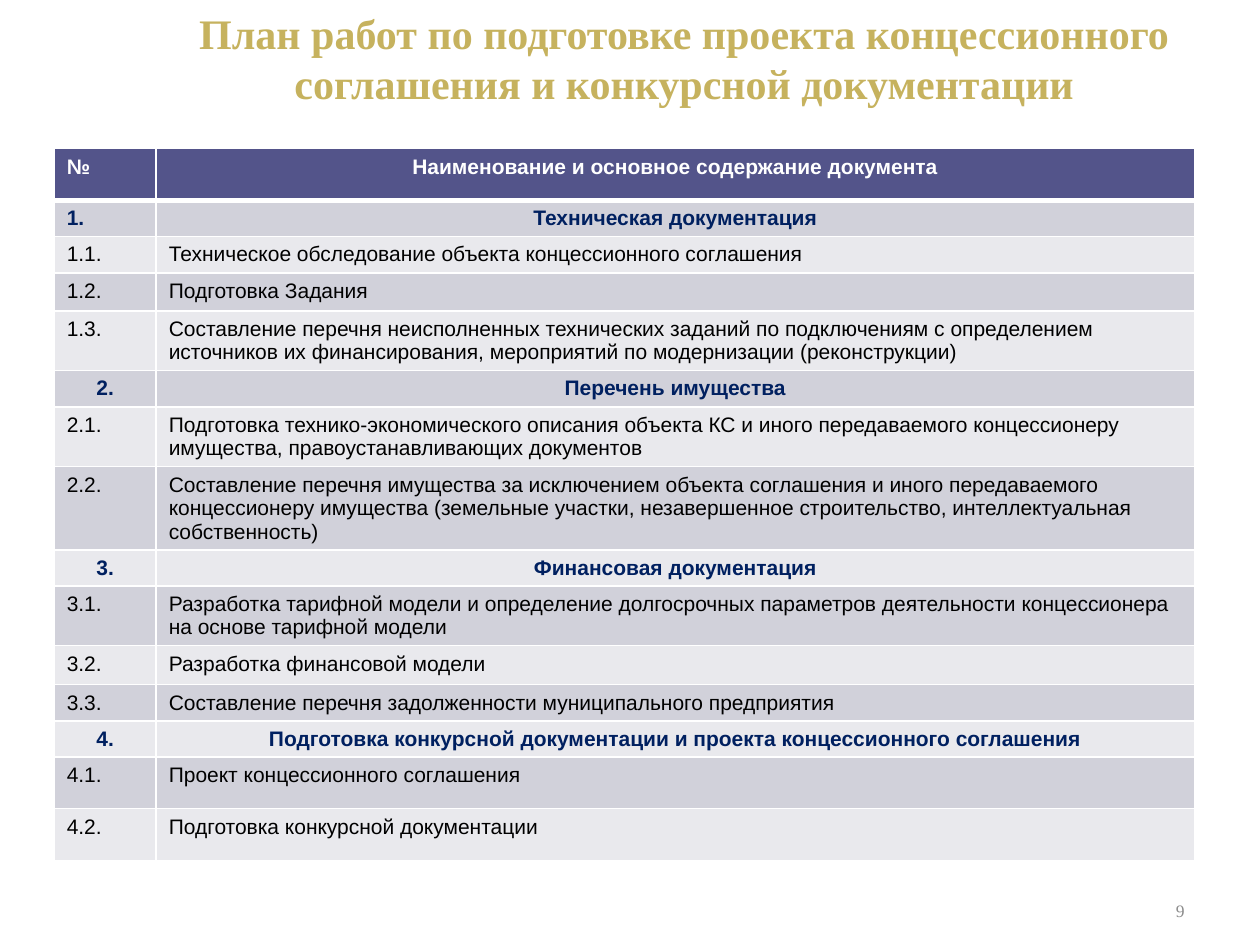
from dataclasses import dataclass

from lxml import etree
from pptx import Presentation
from pptx.dml.color import RGBColor
from pptx.enum.text import MSO_ANCHOR, PP_ALIGN
from pptx.oxml.ns import qn
from pptx.util import Inches, Pt

LEFT, MID, RIGHT = PP_ALIGN.LEFT, PP_ALIGN.CENTER, PP_ALIGN.RIGHT
CENTRE = MSO_ANCHOR.MIDDLE
SERIF, SANS = "Times New Roman", "Arial"
WHITE, BLACK, NAVY, GOLD, GREY = "FFFFFF", "000000", "002060", "C6B25E", "8C8C8C"
HEAD, BANDS = "53548A", ("E9E9ED", "D1D1DA")
WIDE, HIGH = 10, 7.5


@dataclass
class Row:
    num: str
    text: str
    high: float
    bold: bool = False
    side: PP_ALIGN = LEFT


# Table rows: number, text, least height, section style, number alignment
ROWS = [
    Row("№", "Наименование и основное содержание документа", 0.41, True),
    Row("1.", "Техническая документация", 0.27, True),
    Row("1.1.", "Техническое обследование объекта концессионного соглашения", 0.29),
    Row("1.2.", "Подготовка Задания", 0.3),
    Row("1.3.", "Составление перечня неисполненных технических заданий по подключениям "
        "с определением источников их финансирования, мероприятий по модернизации "
        "(реконструкции)", 0.41),
    Row("2.", "Перечень имущества", 0.29, True, MID),
    Row("2.1.", "Подготовка технико-экономического описания объекта КС и иного "
        "передаваемого концессионеру имущества, правоустанавливающих документов", 0.41),
    Row("2.2.", "Составление перечня имущества за исключением объекта соглашения и иного "
        "передаваемого концессионеру имущества (земельные участки, незавершенное "
        "строительство, интеллектуальная собственность)", 0.41),
    Row("3.", "Финансовая документация", 0.25, True, MID),
    Row("3.1.", "Разработка тарифной модели и определение долгосрочных параметров "
        "деятельности концессионера на основе тарифной модели", 0.41),
    Row("3.2.", "Разработка финансовой модели", 0.31),
    Row("3.3.", "Составление перечня задолженности муниципального предприятия", 0.24),
    Row("4.", "Подготовка конкурсной документации и проекта концессионного соглашения",
        0.25, True, MID),
    Row("4.1.", "Проект концессионного соглашения", 0.41),
    Row("4.2.", "Подготовка конкурсной документации", 0.41),
]
COLS = (0.81, 8.24)


def tint(code: str) -> RGBColor:
    return RGBColor.from_string(code)


def write(frame, text: str, *, size=12, face=SANS, hue=BLACK, bold=False, side=LEFT) -> None:
    para = frame.paragraphs[0]
    para.alignment = side
    run = para.add_run()
    run.text = text
    font = run.font
    font.size, font.name, font.bold = Pt(size), face, bold
    font.color.rgb = tint(hue)


def edge(cell, base: float) -> None:
    """Draw white borders, the lower one as thick as asked."""
    props = cell._tc.get_or_add_tcPr()
    for spot, (tag, thick) in enumerate((("lnL", 1), ("lnR", 1), ("lnT", 1), ("lnB", base))):
        line = etree.Element(qn(f"a:{tag}"), w=str(Pt(thick)))
        fill = etree.SubElement(line, qn("a:solidFill"))
        etree.SubElement(fill, qn("a:srgbClr"), val=WHITE)
        props.insert(spot, line)


def draw_row(table, i: int, row: Row) -> None:
    table.rows[i].height = Inches(row.high)
    hue = WHITE if i == 0 else NAVY if row.bold else BLACK
    parts = ((row.num, row.side), (row.text, MID if row.bold else LEFT))
    for j, (text, side) in enumerate(parts):
        cell = table.cell(i, j)
        cell.fill.solid()
        cell.fill.fore_color.rgb = tint(BANDS[i % 2] if i else HEAD)
        edge(cell, 1 if i else 3)
        write(cell.text_frame, text, hue=hue, bold=row.bold, side=side)


def main() -> None:
    deck = Presentation()
    deck.slide_width, deck.slide_height = Inches(WIDE), Inches(HIGH)
    slide = deck.slides.add_slide(deck.slide_layouts[5])

    # Title
    title = slide.shapes.title
    title.left, title.top = Inches(1.06), 0
    title.width, title.height = Inches(8.74), Inches(0.92)
    title.fill.solid()
    title.fill.fore_color.rgb = tint(WHITE)
    title.text_frame.vertical_anchor = CENTRE
    write(title.text_frame, "План работ по подготовке проекта концессионного "
          "соглашения и конкурсной документации",
          size=24, face=SERIF, hue=GOLD, bold=True, side=MID)

    # Plan of works
    table = slide.shapes.add_table(
        len(ROWS), len(COLS), Inches(0.43), Inches(1.18),
        Inches(sum(COLS)), Inches(sum(row.high for row in ROWS))).table
    for col, wide in zip(table.columns, COLS):
        col.width = Inches(wide)
    for i, row in enumerate(ROWS):
        draw_row(table, i, row)

    # Page number
    page = slide.shapes.add_textbox(Inches(9.06), Inches(7.11), Inches(0.44), Inches(0.24))
    page.text_frame.word_wrap = True
    page.text_frame.vertical_anchor = CENTRE
    write(page.text_frame, "9", size=10, face=SERIF, hue=GREY, side=RIGHT)

    deck.save("out.pptx")


if __name__ == "__main__":
    main()
